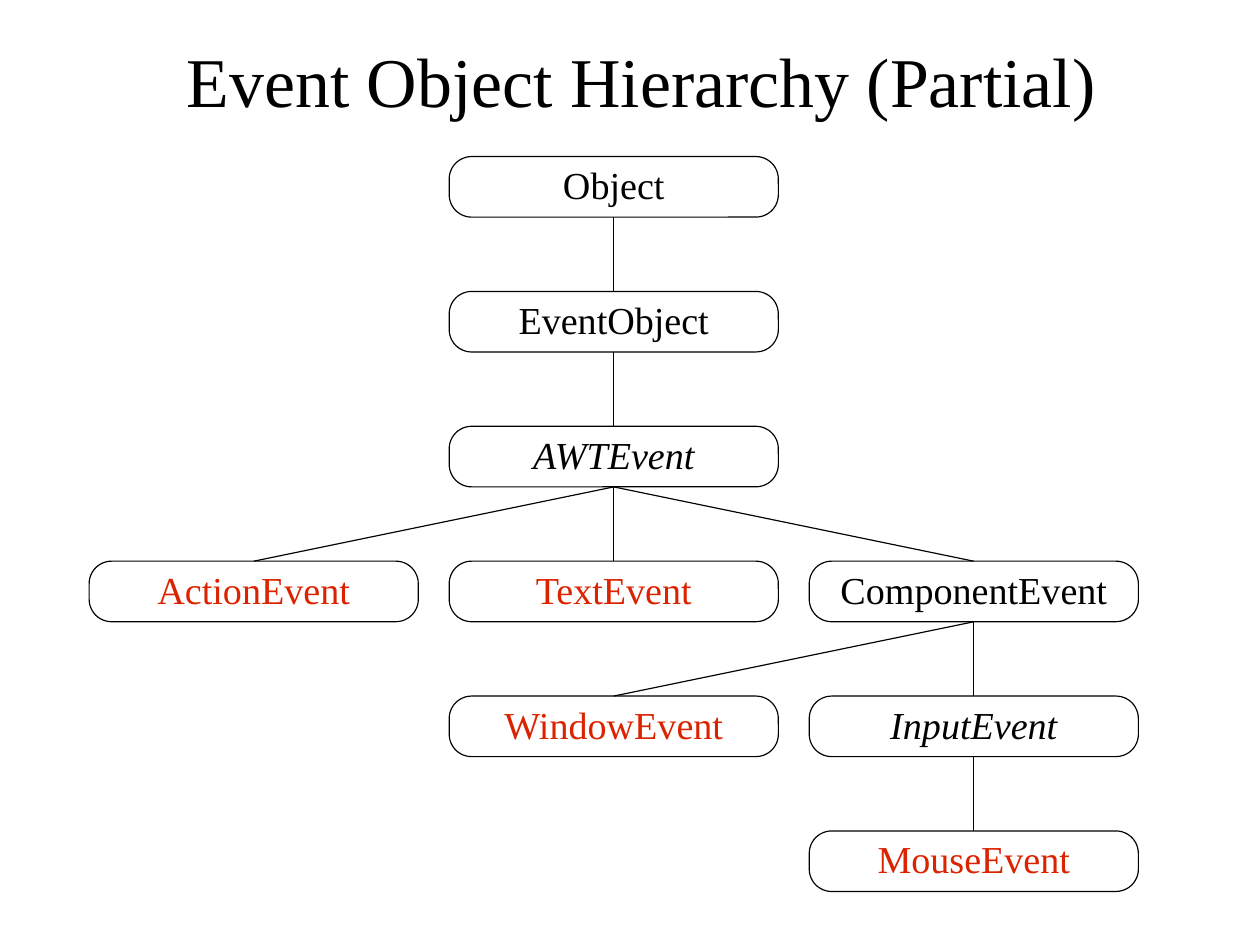
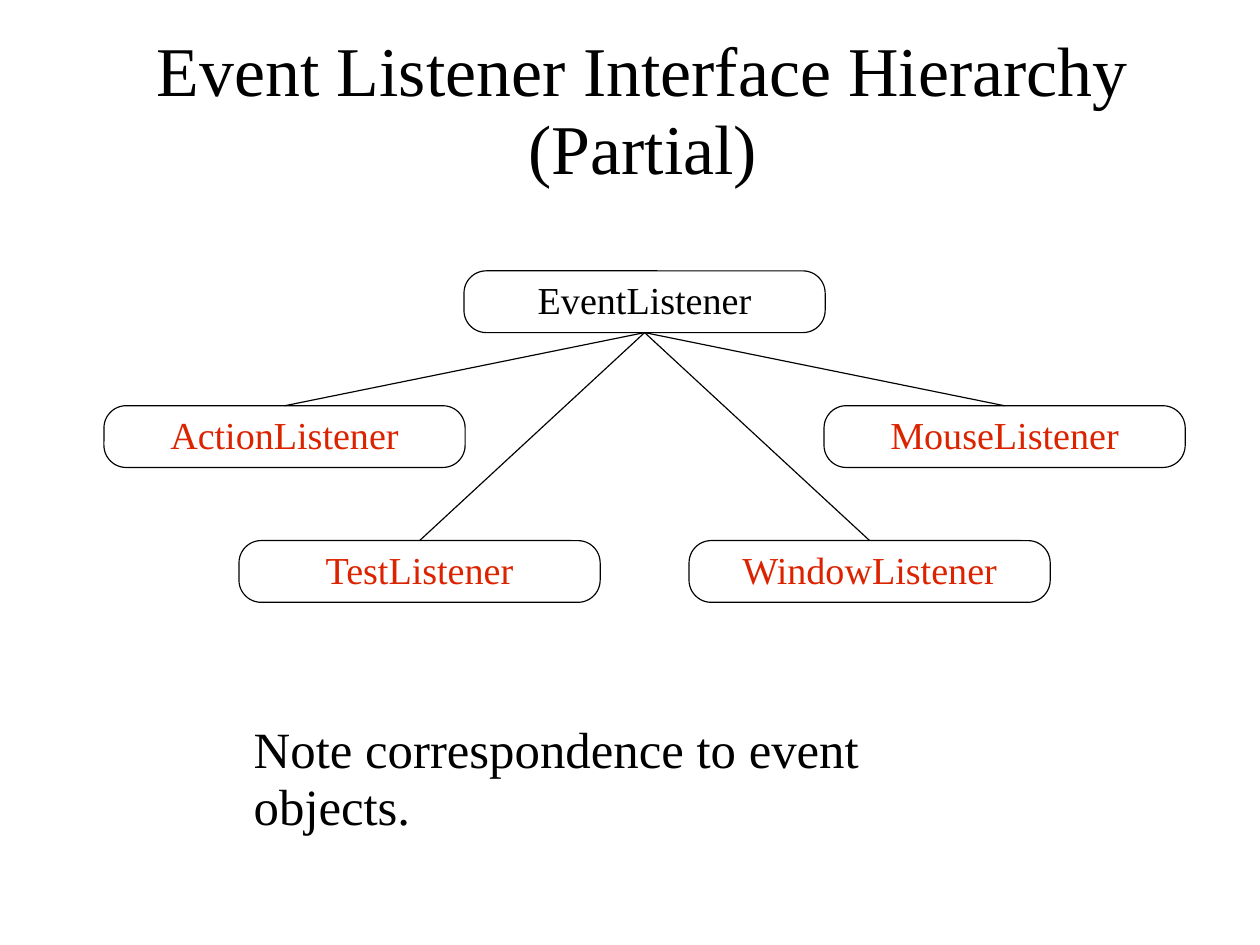
from dataclasses import dataclass

from lxml import etree
from pptx import Presentation
from pptx.dml.color import RGBColor
from pptx.enum import shapes, text
from pptx.oxml import ns
from pptx.util import Cm, Inches, Pt

FONT = "Times New Roman"
COLORS = {"black": "000000", "red": "DC2300"}
COL_STEP, ROW_STEP = 3.15, 1.18
LINE_WIDTH = Pt(0.75)


@dataclass
class Node:
    name: str
    col: float
    row: int
    parent: str = ""
    color: str = "black"
    italic: bool = False


@dataclass
class Tree:
    left: float
    top: float
    width: float
    height: float
    radius: float
    nodes: list[Node]


EVENTS = Tree(0.78, 1.37, 2.88, 0.53, 0.37, [
    Node("Object", 1, 0),
    Node("EventObject", 1, 1, "Object"),
    Node("AWTEvent", 1, 2, "EventObject", italic=True),
    Node("ActionEvent", 0, 3, "AWTEvent", "red"),
    Node("TextEvent", 1, 3, "AWTEvent", "red"),
    Node("ComponentEvent", 2, 3, "AWTEvent"),
    Node("WindowEvent", 1, 4, "ComponentEvent", "red"),
    Node("InputEvent", 2, 4, "ComponentEvent", italic=True),
    Node("MouseEvent", 2, 5, "InputEvent", "red"),
])

LISTENERS = Tree(0.91, 2.37, 3.16, 0.54, 0.36, [
    Node("EventListener", 1, 0),
    Node("ActionListener", 0, 1, "EventListener", "red"),
    Node("MouseListener", 2, 1, "EventListener", "red"),
    Node("TestListener", 3 / 8, 2, "EventListener", "red"),
    Node("WindowListener", 13 / 8, 2, "EventListener", "red"),
])


def rgb(name: str) -> RGBColor:
    return RGBColor.from_string(COLORS[name])


def set_text(sp, content: str, size: int, color: str = "black", italic: bool = False,
             align=text.PP_ALIGN.CENTER, anchor=text.MSO_ANCHOR.MIDDLE) -> None:
    tf = sp.text_frame
    tf.text = content
    tf.word_wrap = True
    tf.vertical_anchor = anchor
    tf.margin_left = tf.margin_top = tf.margin_right = tf.margin_bottom = 0
    p = tf.paragraphs[0]
    p.alignment = align
    p.line_spacing = 0.93
    font = p.runs[0].font
    font.name, font.size, font.italic = FONT, Pt(size), italic
    font.color.rgb = rgb(color)


def add_title(s, content: str, left: float, top: float, height: float) -> None:
    sp = s.shapes.add_textbox(Inches(left), Inches(top), Inches(9.41), Inches(height))
    set_text(sp, content, 44)


def add_box(s, tree: Tree, node: Node):
    sp = s.shapes.add_shape(
        shapes.MSO_SHAPE.ROUNDED_RECTANGLE,
        Inches(tree.left + node.col * COL_STEP), Inches(tree.top + node.row * ROW_STEP),
        Inches(tree.width), Inches(tree.height))
    sp.adjustments[0] = tree.radius
    sp.shadow.inherit = False
    sp.fill.background()
    sp.line.color.rgb = rgb("black")
    sp.line.width = LINE_WIDTH
    set_text(sp, node.name, 24, node.color, node.italic)
    return sp


def add_link(s, parent, child) -> None:
    """Join the bottom of the parent to the top of the child."""
    line = s.shapes.add_connector(shapes.MSO_CONNECTOR.STRAIGHT, 0, 0, 0, 0)
    line.begin_connect(parent, 2)
    line.end_connect(child, 0)
    line.line.color.rgb = rgb("black")
    line.line.width = LINE_WIDTH
    etree.SubElement(line._element.spPr, ns.qn("a:effectLst"))


def add_tree(s, tree: Tree) -> None:
    boxes = {node.name: add_box(s, tree, node) for node in tree.nodes}
    for node in tree.nodes:
        if node.parent:
            add_link(s, boxes[node.parent], boxes[node.name])


def main() -> None:
    prs = Presentation()
    prs.slide_width, prs.slide_height = Cm(28), Cm(21)
    blank = prs.slide_layouts[6]

    s = prs.slides.add_slide(blank)
    add_title(s, "Event Object Hierarchy (Partial)", 0.91, 0.19, 1.1)
    add_tree(s, EVENTS)

    s = prs.slides.add_slide(blank)
    add_title(s, "Event Listener Interface Hierarchy (Partial)", 0.92, 0.29, 1.38)
    add_tree(s, LISTENERS)
    note = s.shapes.add_textbox(Inches(2.22), Inches(6.33), Inches(6.5), Inches(1))
    set_text(note, "Note correspondence to event objects.", 32,
             align=text.PP_ALIGN.LEFT, anchor=text.MSO_ANCHOR.TOP)

    prs.save("out.pptx")


if __name__ == "__main__":
    main()
